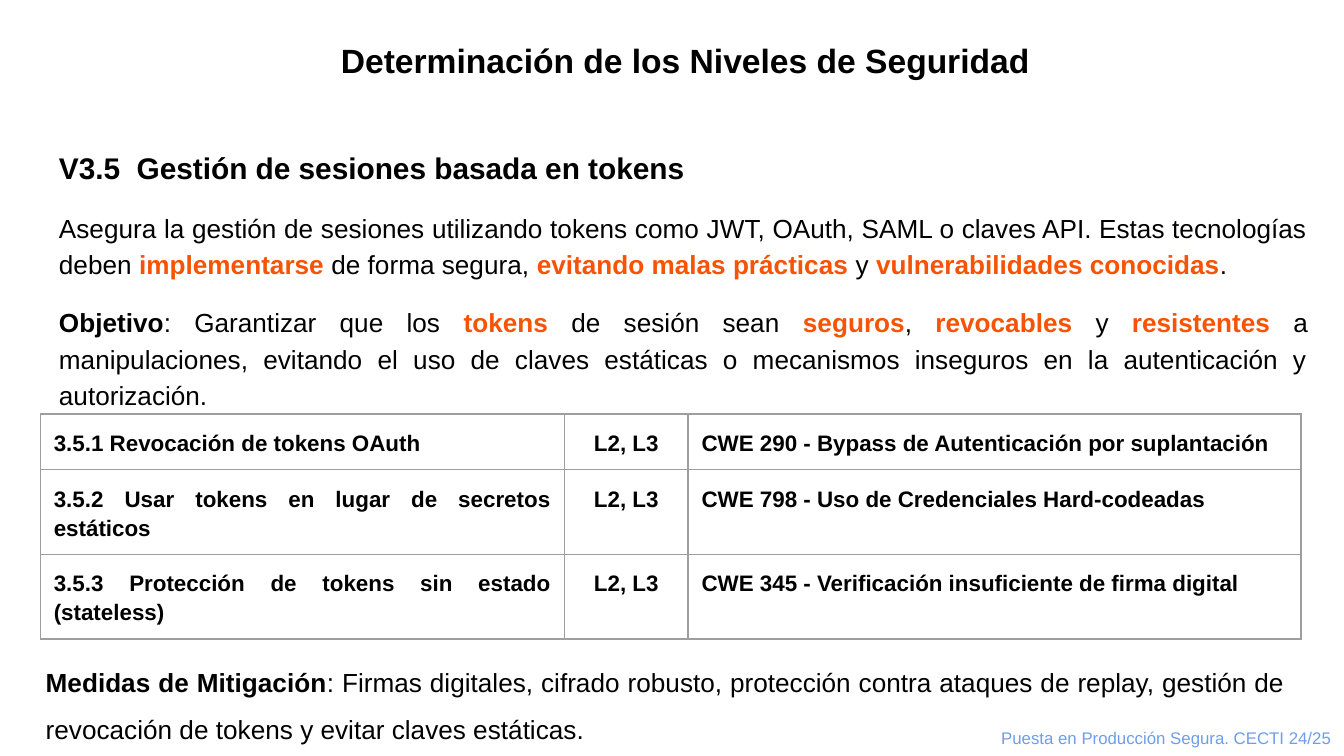
from lxml import etree
from pptx import Presentation
from pptx.dml.color import RGBColor
from pptx.enum.text import MSO_ANCHOR, MSO_AUTO_SIZE, PP_ALIGN
from pptx.oxml.ns import qn
from pptx.util import Inches, Pt

CENTER, RIGHT, JUSTIFY = PP_ALIGN.CENTER, PP_ALIGN.RIGHT, PP_ALIGN.JUSTIFY
TOP, BOTTOM = MSO_ANCHOR.TOP, MSO_ANCHOR.BOTTOM
FIXED, GROW = MSO_AUTO_SIZE.NONE, MSO_AUTO_SIZE.SHAPE_TO_FIT_TEXT
FONT, BLACK, ORANGE, BLUE, GREY = "Arial", "000000", "F65305", "6D9EEB", "9E9E9E"
WIDTH = 10
HEIGHT = WIDTH * 9 / 16
PAD = 0.1

# Run styles: (bold, colour)
PLAIN, BOLD, KEY, CREDIT = (False, BLACK), (True, BLACK), (True, ORANGE), (False, BLUE)

TITLE = [("Determinación de los Niveles de Seguridad", BOLD)]
HEADING = [("V3.5  Gestión de sesiones basada en tokens", BOLD)]
SUMMARY = [
    ("Asegura la gestión de sesiones utilizando tokens como JWT, OAuth, SAML "
     "o claves API. Estas tecnologías deben ", PLAIN),
    ("implementarse", KEY), (" de forma segura, ", PLAIN),
    ("evitando malas prácticas", KEY), (" y ", PLAIN),
    ("vulnerabilidades conocidas", KEY), (".", PLAIN),
]
GOAL = [
    ("Objetivo", BOLD), (": Garantizar que los ", PLAIN),
    ("tokens ", KEY), ("de sesión sean ", PLAIN),
    ("seguros", KEY), (", ", PLAIN),
    ("revocables ", KEY), ("y ", PLAIN), ("resistentes ", KEY),
    ("a manipulaciones, evitando el uso de claves estáticas o mecanismos "
     "inseguros en la autenticación y autorización.", PLAIN),
]
MITIGATION = [
    ("Medidas de Mitigación", BOLD),
    (": Firmas digitales, cifrado robusto, protección contra ataques de replay, "
     "gestión de revocación de tokens y evitar claves estáticas.", PLAIN),
]
FOOTER = [("Puesta en Producción Segura. CECTI 24/25", CREDIT)]

CONTROLS = [
    ("3.5.1 Revocación de tokens OAuth", "L2, L3",
     "CWE 290 - Bypass de Autenticación por suplantación"),
    ("3.5.2 Usar tokens en lugar de secretos estáticos", "L2, L3",
     "CWE 798 - Uso de Credenciales Hard-codeadas"),
    ("3.5.3 Protección de tokens sin estado (stateless)", "L2, L3",
     "CWE 345 - Verificación insuficiente de firma digital"),
]
COLUMNS = [(3.9, JUSTIFY), (0.92, CENTER), (4.56, JUSTIFY)]
ROWS = [0.4, 0.35, 0.35]  # minimum heights; rows grow with their text


def color(hex_value):
    return RGBColor.from_string(hex_value)


def write(p, runs, size, align, line=1.0, before=0, after=0, indent=0):
    p.alignment, p.line_spacing = align, line
    p.space_before, p.space_after = Pt(before), Pt(after)
    if indent:
        pPr = p._p.get_or_add_pPr()
        pPr.set("marL", "0")
        pPr.set("indent", str(Inches(indent)))
    for text, (bold, hex_value) in runs:
        r = p.add_run()
        r.text = text
        r.font.name, r.font.size, r.font.bold = FONT, Pt(size), bold
        r.font.color.rgb = color(hex_value)


def add_text(s, box, paragraphs, anchor=TOP, left_pad=PAD, fit=FIXED):
    """Each paragraph is a dict of the arguments of write()."""
    tf = s.shapes.add_textbox(*map(Inches, box)).text_frame
    tf.word_wrap, tf.vertical_anchor, tf.auto_size = True, anchor, fit
    tf.margin_left = Inches(left_pad)
    tf.margin_top = tf.margin_right = tf.margin_bottom = Inches(PAD)
    for i, paragraph in enumerate(paragraphs):
        write(tf.add_paragraph() if i else tf.paragraphs[0], **paragraph)


def add_borders(cell, hex_value, width):
    tcPr = cell._tc.get_or_add_tcPr()
    for i, side in enumerate(("a:lnL", "a:lnR", "a:lnT", "a:lnB")):
        ln = etree.Element(qn(side), w=str(Pt(width)))
        fill = etree.SubElement(ln, qn("a:solidFill"))
        etree.SubElement(fill, qn("a:srgbClr"), val=hex_value)
        tcPr.insert(i, ln)


def add_controls(s, left, top):
    width = sum(w for w, _ in COLUMNS)
    table = s.shapes.add_table(len(ROWS), len(COLUMNS), Inches(left), Inches(top),
                               Inches(width), Inches(sum(ROWS))).table
    table.first_row = table.horz_banding = False
    for column, (w, _) in zip(table.columns, COLUMNS):
        column.width = Inches(w)
    for row, height, texts in zip(table.rows, ROWS, CONTROLS):
        row.height = Inches(height)
        for cell, text, (_, align) in zip(row.cells, texts, COLUMNS):
            cell.fill.background()
            cell.margin_left = cell.margin_right = Inches(PAD)
            cell.margin_top = cell.margin_bottom = Inches(PAD)
            write(cell.text_frame.paragraphs[0], [(text, BOLD)], 12, align,
                  line=1.15, after=12)
            add_borders(cell, GREY, 0.75)


def main():
    prs = Presentation()
    prs.slide_width, prs.slide_height = Inches(WIDTH), Inches(HEIGHT)
    s = prs.slides.add_slide(prs.slide_layouts[6])

    add_text(s, (0.34, 0.96, 9.49, 2.23), [
        dict(runs=HEADING, size=16, align=JUSTIFY, line=1.2, before=15),
        dict(runs=SUMMARY, size=14, align=JUSTIFY, line=1.15, before=12),
        dict(runs=GOAL, size=14, align=JUSTIFY, line=1.15, before=12, after=12),
    ])
    add_text(s, (0.34, 4.74, 9.32, 1),
             [dict(runs=MITIGATION, size=14, align=JUSTIFY, line=1.5)], left_pad=0)
    add_controls(s, 0.3, 3.08)
    add_text(s, (1.23, 0.19, 7.54, 0.51),
             [dict(runs=TITLE, size=18, align=CENTER, line=1.2, before=23, after=12,
                   indent=0.2)], anchor=BOTTOM)
    add_text(s, (7.22, 5.34, 2.78, 0.29),
             [dict(runs=FOOTER, size=9, align=RIGHT)], fit=GROW)
    prs.save("out.pptx")


if __name__ == "__main__":
    main()
